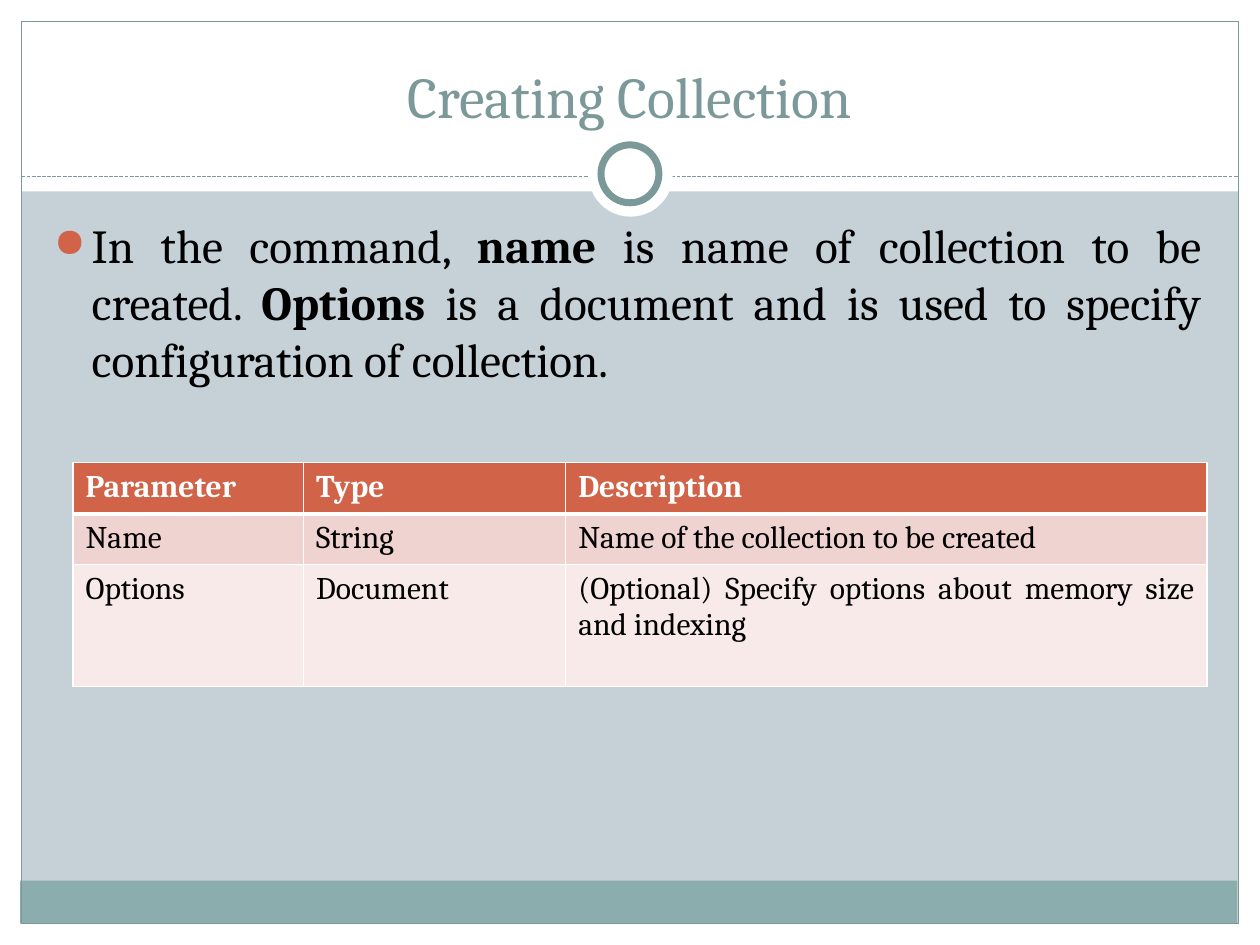
from lxml import etree
from pptx import Presentation
from pptx.dml.color import RGBColor
from pptx.enum import dml, shapes, text
from pptx.oxml import ns
from pptx.util import Inches, Pt

FONT = "Cambria"
WHITE = RGBColor(0xFF, 0xFF, 0xFF)
BLACK = RGBColor(0, 0, 0)
BACKGROUND = RGBColor(0xC5, 0xD1, 0xD7)
TEAL = RGBColor(0x8C, 0xAD, 0xAE)
DARK_TEAL = RGBColor(0x7C, 0x99, 0x9A)
ORANGE = RGBColor(0xD1, 0x63, 0x49)
BANDS = [ORANGE, RGBColor(0xEE, 0xD3, 0xD0), RGBColor(0xF7, 0xEA, 0xE9)]


def add_panel(kind, left, top, width, height, fill=None, line=None, weight=0.75):
    panel = slide.shapes.add_shape(
        kind, Inches(left), Inches(top), Inches(width), Inches(height))
    panel.shadow.inherit = False
    if fill is None:
        panel.fill.background()
    else:
        panel.fill.solid()
        panel.fill.fore_color.rgb = fill
    if line is None:
        panel.line.fill.background()
    else:
        panel.line.color.rgb = line
        panel.line.width = Pt(weight)


def format_span(span, size, color, bold=False):
    span.font.name = FONT
    span.font.size = Pt(size)
    span.font.color.rgb = color
    span.font.bold = bold


deck = Presentation()
deck.slide_width = Inches(10)
deck.slide_height = Inches(7.5)
slide = deck.slides.add_slide(deck.slide_layouts[5])
slide.background.fill.solid()
slide.background.fill.fore_color.rgb = BACKGROUND

RECTANGLE = shapes.MSO_SHAPE.RECTANGLE
OVAL = shapes.MSO_SHAPE.OVAL
for edge in [(0, 7.33, 10, 0.17), (0, 0, 10, 1.52), (0, 0, 0.17, 7.5), (9.83, 0, 0.17, 7.5)]:
    add_panel(RECTANGLE, *edge, fill=WHITE)
add_panel(RECTANGLE, 0.16, 6.99, 9.66, 0.34, fill=TEAL)
add_panel(RECTANGLE, 0.17, 0.17, 9.66, 7.16, line=DARK_TEAL)

divider = slide.shapes.add_connector(
    shapes.MSO_CONNECTOR.STRAIGHT, Inches(0.17), Inches(1.4), Inches(9.83), Inches(1.4))
divider.line.color.rgb = DARK_TEAL
divider.line.width = Pt(0.75)
divider.line.dash_style = dml.MSO_LINE.SQUARE_DOT
etree.SubElement(divider._element.spPr, ns.qn("a:effectLst"))

add_panel(OVAL, 4.67, 1.05, 0.67, 0.67, fill=WHITE)
add_panel(OVAL, 4.77, 1.15, 0.46, 0.46, fill=WHITE, line=DARK_TEAL, weight=4)

title = slide.shapes.title
slide.shapes._spTree.append(title._element)
title.left, title.top = Inches(0.33), Inches(0.25)
title.width, title.height = Inches(9.33), Inches(0.83)
title.text_frame.text = "Creating Collection"
title.text_frame.vertical_anchor = text.MSO_ANCHOR.BOTTOM
para = title.text_frame.paragraphs[0]
para.alignment = text.PP_ALIGN.CENTER
format_span(para.runs[0], 33, DARK_TEAL)

body = slide.shapes.add_textbox(Inches(0.33), Inches(1.67), Inches(9.3), Inches(5))
body.text_frame.word_wrap = True
para = body.text_frame.paragraphs[0]
para.alignment = text.PP_ALIGN.JUSTIFY
para.space_before = Pt(5.4)
for words, bold in [
    ("In the command, ", False),
    ("name", True),
    (" is name of collection to be created. ", False),
    ("Options", True),
    (" is a document and is used to specify configuration of collection.", False),
]:
    span = para.add_run()
    span.text = words
    format_span(span, 27, BLACK, bold)
properties = para._p.get_or_add_pPr()
properties.set("marL", str(Inches(0.3)))
properties.set("indent", str(Inches(-0.3)))
bullet_color = etree.SubElement(properties, ns.qn("a:buClr"))
etree.SubElement(bullet_color, ns.qn("a:srgbClr"), val=str(ORANGE))
etree.SubElement(properties, ns.qn("a:buSzPct"), val="85000")
etree.SubElement(properties, ns.qn("a:buChar"), char="●")

ROWS = [
    ("Parameter", "Type", "Description"),
    ("Name", "String", "Name of the collection to be created "),
    ("Options", "Document", "(Optional) Specify options about memory size and indexing"),
]
table = slide.shapes.add_table(
    3, 3, Inches(0.58), Inches(3.67), Inches(9), Inches(1.78)).table
for column, width in zip(table.columns, [1.83, 2.08, 5.09]):
    column.width = Inches(width)
for row, height in zip(table.rows, [0.41, 0.4, 0.97]):
    row.height = Inches(height)

for row_index, words in enumerate(ROWS):
    header = row_index == 0
    for column_index, word in enumerate(words):
        cell = table.cell(row_index, column_index)
        cell.text_frame.text = word
        para = cell.text_frame.paragraphs[0]
        if column_index == 2 and not header:
            para.alignment = text.PP_ALIGN.JUSTIFY
        format_span(para.runs[0], 18, WHITE if header else BLACK, header)
        for side in ["lnL", "lnR", "lnT", "lnB"]:
            thick = (row_index, side) in [(0, "lnB"), (1, "lnT")]
            border = etree.SubElement(
                cell._tc.get_or_add_tcPr(), ns.qn("a:" + side), w=str(Pt(3 if thick else 1)))
            border_fill = etree.SubElement(border, ns.qn("a:solidFill"))
            etree.SubElement(border_fill, ns.qn("a:srgbClr"), val=str(WHITE))
        cell.fill.solid()
        cell.fill.fore_color.rgb = BANDS[row_index]

deck.save("out.pptx")
